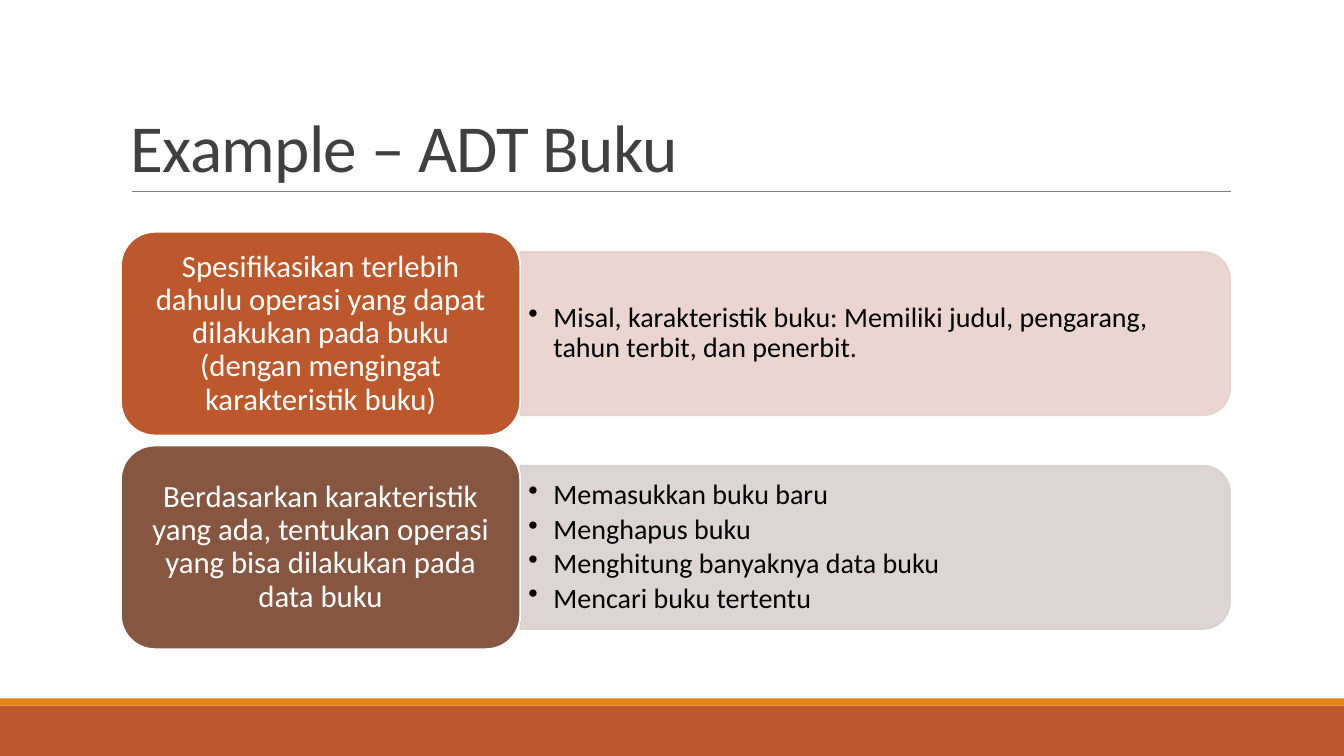
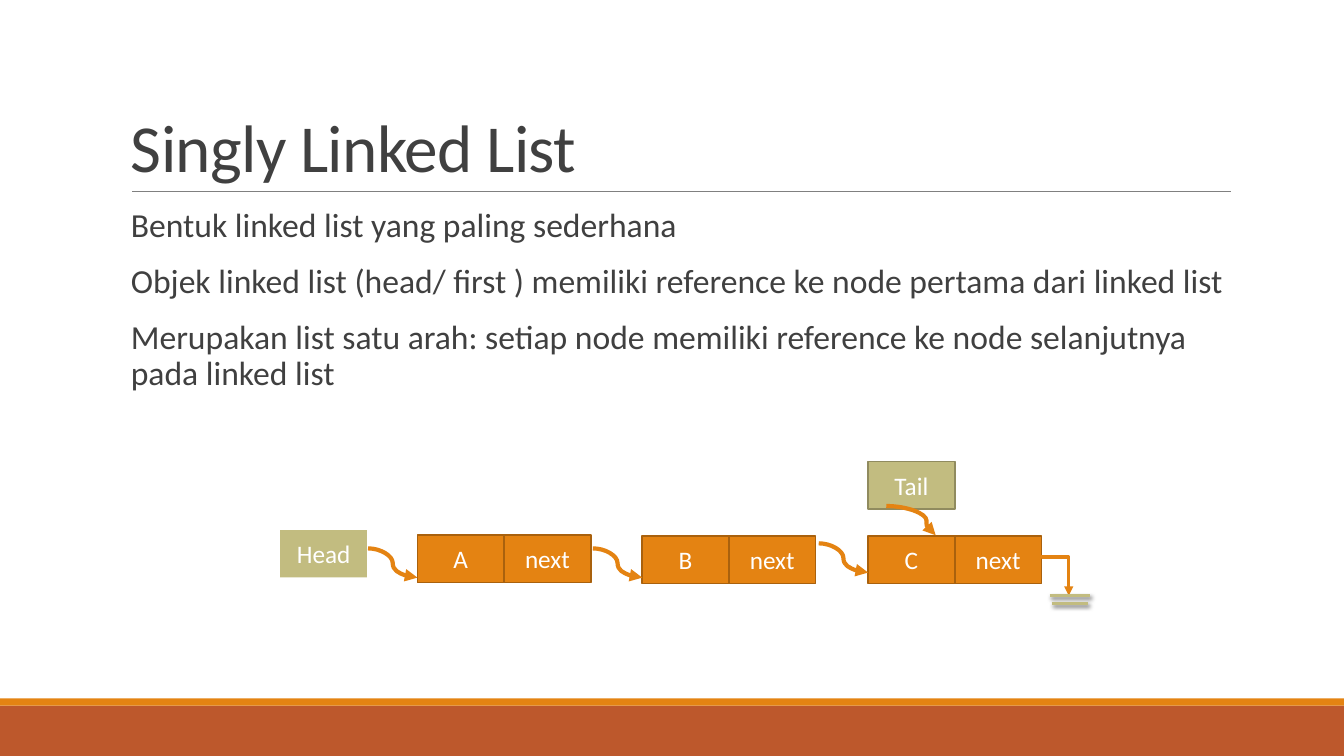
from lxml.etree import SubElement
from pptx import Presentation
from pptx.dml.color import RGBColor
from pptx.enum.shapes import MSO_CONNECTOR as Route, MSO_SHAPE as Preset
from pptx.enum.text import MSO_ANCHOR as Anchor, PP_ALIGN as Align
from pptx.oxml.ns import qn
from pptx.util import Inches, Pt

RUST = RGBColor(0xBD, 0x58, 0x2C)
ORANGE = RGBColor(0xE4, 0x83, 0x12)
ORANGE_EDGE = RGBColor(0xA9, 0x61, 0x0D)
BROWN = RGBColor(0x86, 0x56, 0x40)
PINK = RGBColor(0xE8, 0xD1, 0xCD)
TAUPE = RGBColor(0xD9, 0xD1, 0xCF)
OLIVE = RGBColor(0xC2, 0xBC, 0x80)
OLIVE_EDGE = RGBColor(0x90, 0x8B, 0x5F)
DARK = RGBColor(0x40, 0x40, 0x40)
GRAY = RGBColor(0x80, 0x80, 0x80)
BLACK = RGBColor(0, 0, 0)
WHITE = RGBColor(0xFF, 0xFF, 0xFF)

FONT = "Calibri"
SLIDE_W, SLIDE_H = 13.33, 7.5
MARGIN, CONTENT_W = 1.2, 11
CELL_W, CELL_H = 0.86, 0.47

TITLE = dict(size=48, color=DARK, para=dict(line_spacing=0.85),
             frame=dict(vertical_anchor=Anchor.BOTTOM))
BODY = dict(size=24, color=DARK,
            para=dict(line_spacing=0.9, space_before=Pt(12), space_after=Pt(2)))
CARD = dict(size=22, color=WHITE,
            para=dict(alignment=Align.CENTER, line_spacing=0.9),
            frame=dict(vertical_anchor=Anchor.MIDDLE,
                       margin_left=Inches(0.19), margin_right=Inches(0.19)))
DETAIL = dict(size=20, color=BLACK, bullet="•",
              para=dict(line_spacing=0.9, space_after=Pt(3)),
              frame=dict(vertical_anchor=Anchor.MIDDLE,
                         margin_left=Inches(0.08), margin_right=Inches(0.08)))
CELL = dict(size=18, color=WHITE, para=dict(alignment=Align.CENTER),
            frame=dict(vertical_anchor=Anchor.MIDDLE))


def apply(target, values):
    for name, value in values.items():
        setattr(target, name, value)


def write(holder, lines, style):
    """Fill a shape or text box with one paragraph per line."""
    frame = holder.text_frame
    apply(frame, dict(word_wrap=True, **style.get("frame", {})))
    for i, line in enumerate(lines):
        paragraph = frame.add_paragraph() if i else frame.paragraphs[0]
        apply(paragraph, style["para"])
        if "bullet" in style:
            props = paragraph._p.get_or_add_pPr()
            props.set("marL", str(Inches(0.25)))
            props.set("indent", str(-Inches(0.25)))
            SubElement(props, qn("a:buChar"), char=style["bullet"])
        run = paragraph.add_run()
        run.text = line
        apply(run.font, dict(name=FONT, size=Pt(style["size"])))
        run.font.color.rgb = style["color"]


def add_text(slide, box, lines, style):
    holder = slide.shapes.add_textbox(*map(Inches, box))
    write(holder, lines, style)
    return holder


def add_block(slide, preset, box, fill, edge=None):
    block = slide.shapes.add_shape(preset, *map(Inches, box))
    block.shadow.inherit = False
    block.fill.solid()
    block.fill.fore_color.rgb = fill
    if edge is None:
        block.line.fill.background()
    else:
        block.line.color.rgb = edge
        block.line.width = Pt(1.25)
    return block


def add_line(slide, start, end, color, width, route=Route.STRAIGHT,
             arrow=False, bend=None, shadow=False):
    """Draw a connector; bend is its turning point as a share of its length."""
    line = slide.shapes.add_connector(route, *map(Inches, (*start, *end)))
    line.line.color.rgb = color
    line.line.width = Pt(width)
    props = line._element.spPr
    if arrow:
        SubElement(props.find(qn("a:ln")), qn("a:tailEnd"), type="triangle")
    if bend is not None:
        adjustments = props.find(qn("a:prstGeom")).get_or_add_avLst()
        SubElement(adjustments, qn("a:gd"), name="adj1",
                   fmla=f"val {round(bend * 100000)}")
    effects = SubElement(props, qn("a:effectLst"))
    if shadow:
        cast = SubElement(effects, qn("a:outerShdw"), blurRad=str(Pt(3)),
                          dist=str(Pt(2)), dir="2700000")
        tint = SubElement(cast, qn("a:srgbClr"), val=str(BLACK))
        SubElement(tint, qn("a:alpha"), val="60000")
    return line


def add_titled_slide(deck, title):
    """Blank slide with the footer bands, title and rule."""
    slide = deck.slides.add_slide(deck.slide_layouts[6])
    add_block(slide, Preset.RECTANGLE, (0, 7, SLIDE_W, 0.5), RUST)
    add_block(slide, Preset.RECTANGLE, (0, 6.93, SLIDE_W, 0.07), ORANGE)
    add_line(slide, (1.31, 1.9), (12.21, 1.9), GRAY, 0.5)
    heading = add_text(slide, (MARGIN, 0.31, CONTENT_W, 1.59), [title], TITLE)
    heading.text_frame.paragraphs[0].runs[0].font._element.set("spc", "-50")
    return slide


def add_topic_row(slide, box, topic, details, card_color, panel_color):
    """Rounded topic card with a detail panel on its right."""
    left, top, width, height = box
    card_w, panel_h = 3.96, 1.62
    panel_left, panel_w = left + card_w, width - card_w
    panel_top = top + (height - panel_h) / 2
    shift = (panel_w - panel_h) / 2
    panel = add_block(slide, Preset.ROUND_2_SAME_RECTANGLE,
                      (panel_left + shift, panel_top - shift, panel_h, panel_w),
                      panel_color, panel_color)
    panel.rotation = 90
    for color in panel._element.spPr.iter(qn("a:srgbClr")):
        SubElement(color, qn("a:alpha"), val="90000")
    add_text(slide, (panel_left, panel_top + 0.08, panel_w - 0.08, panel_h - 0.16),
             details, DETAIL)
    card = add_block(slide, Preset.ROUNDED_RECTANGLE,
                     (left, top, card_w, height), card_color, WHITE)
    write(card, [topic], CARD)


def add_cell(slide, left, top, label, fill=ORANGE, edge=ORANGE_EDGE):
    cell = add_block(slide, Preset.RECTANGLE, (left, top, CELL_W, CELL_H), fill, edge)
    write(cell, [label], CELL)


def add_hop(slide, left, top, bend=None):
    """Curved arrow to the next node."""
    add_line(slide, (left, top), (left + 0.49, top + 0.29), ORANGE, 3,
             Route.CURVE, arrow=True, bend=bend)


def add_list_diagram(slide, left, top):
    """Three chained nodes with head, tail and end mark."""
    nodes = [("A", 1.36, 0.73, 0.86), ("B", 3.59, 0.74, 0.86), ("C", 5.83, 0.74, 0.81)]
    for label, dx, dy, _ in nodes:
        for i, part in enumerate((label, "next")):
            add_cell(slide, left + dx + i * CELL_W, top + dy, part)
    add_cell(slide, left, top + 0.68, "Head", OLIVE, None)
    for _, dx, _, hop_dy in nodes:
        add_hop(slide, left + dx - 0.49, top + hop_dy)

    drop = add_line(slide, (left + 7.5, top + 1.01), (left + 7.87, top + 1.28),
                    ORANGE, 2.25, Route.ELBOW, arrow=True, bend=-0.04)
    turn = drop._element.spPr.find(qn("a:xfrm"))
    turn.set("rot", "16200000")
    turn.set("flipH", "1")
    for start, end, dy in ((7.63, 8.03, 1.33), (7.65, 8.01, 1.41)):
        add_line(slide, (left + start, top + dy), (left + end, top + dy),
                 OLIVE, 2, shadow=True)

    add_cell(slide, left + 5.83, top, "Tail", OLIVE, OLIVE_EDGE)
    add_hop(slide, left + 6.01, top + 0.44, bend=0.815)


def build_book_slide(deck):
    slide = add_titled_slide(deck, "Example – ADT Buku")
    topics = [
        ("Spesifikasikan terlebih dahulu operasi yang dapat dilakukan pada buku "
         "(dengan mengingat karakteristik buku)",
         ["Misal, karakteristik buku: Memiliki judul, pengarang, tahun terbit, "
          "dan penerbit."], RUST, PINK),
        ("Berdasarkan karakteristik yang ada, tentukan operasi yang bisa "
         "dilakukan pada data buku",
         ["Memasukkan buku baru", "Menghapus buku",
          "Menghitung banyaknya data buku", "Mencari buku tertentu"], BROWN, TAUPE),
    ]
    for i, topic in enumerate(topics):
        add_topic_row(slide, (MARGIN, 2.3 + i * 2.12, CONTENT_W, 2.02), *topic)


def build_linked_list_slide(deck):
    slide = add_titled_slide(deck, "Singly Linked List")
    add_text(slide, (MARGIN, 2.02, CONTENT_W, 4.4), [
        "Bentuk linked list yang paling sederhana",
        "Objek linked list (head/ first ) memiliki reference ke node pertama "
        "dari linked list",
        "Merupakan list satu arah: setiap node memiliki reference ke node "
        "selanjutnya pada linked list",
    ], dict(BODY, frame=dict(margin_right=0)))
    add_list_diagram(slide, 2.78, 4.58)


def main():
    deck = Presentation()
    apply(deck, dict(slide_width=Inches(SLIDE_W), slide_height=Inches(SLIDE_H)))
    build_book_slide(deck)
    build_linked_list_slide(deck)
    deck.save("out.pptx")


if __name__ == "__main__":
    main()
